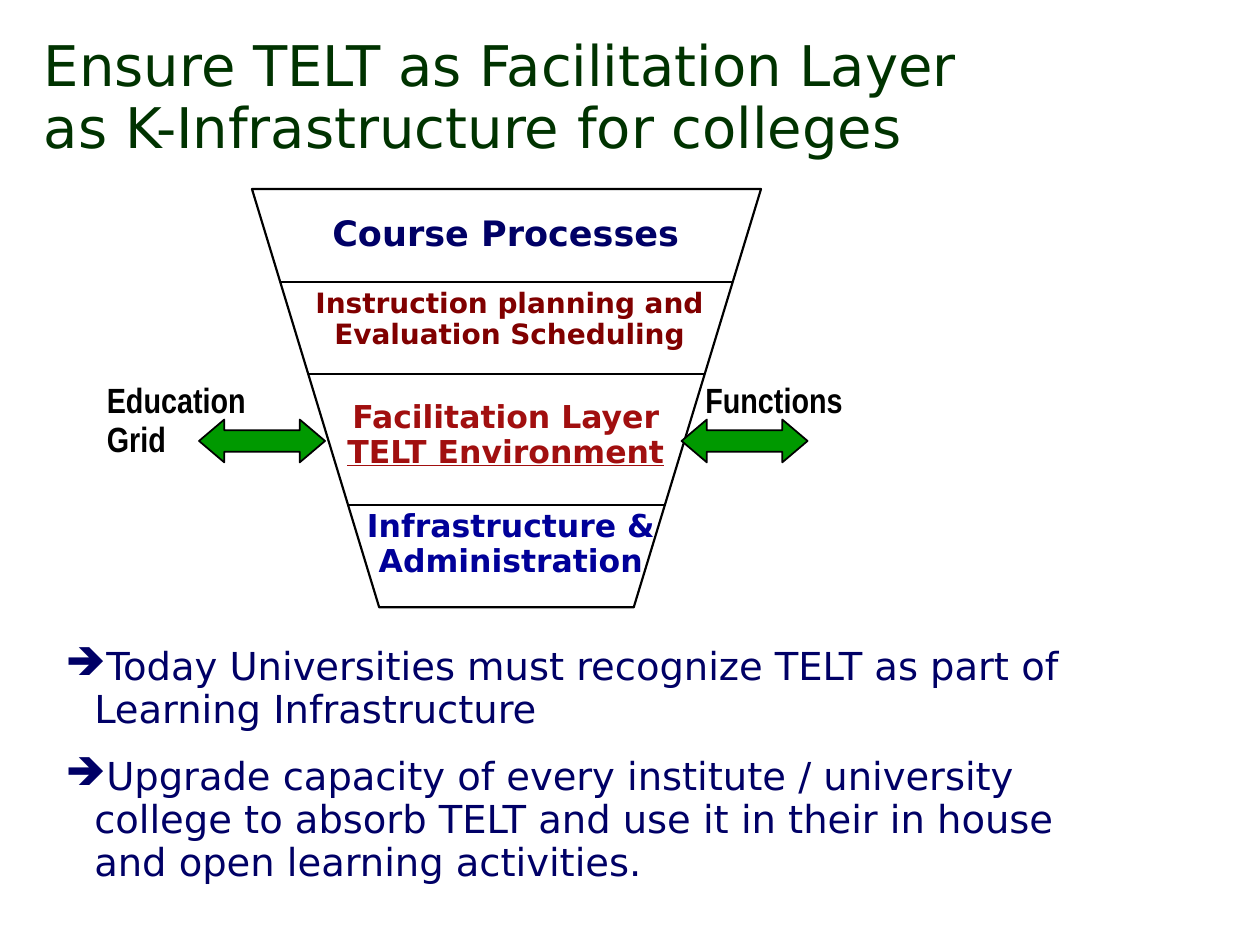
from lxml import etree
from pptx import Presentation
from pptx.dml.color import RGBColor
from pptx.enum import shapes, text
from pptx.oxml.ns import qn
from pptx.util import Inches, Pt


def color(value):
    """Turn a hex string into a colour."""
    return RGBColor.from_string(value)


class SlideBuilder:
    """Holds the style and the current slide."""

    font = "DejaVu Sans"
    ink = "000000"
    navy = "000066"

    def __init__(self, slide):
        self.slide = slide

    def paint(self, shape, fill, width):
        """Give a shape its fill and outline."""
        shape.shadow.inherit = False
        shape.fill.solid()
        shape.fill.fore_color.rgb = color(fill)
        shape.line.color.rgb = color(self.ink)
        shape.line.width = Pt(width)

    def polygon(self, points, fill):
        """Draw a closed outline through points."""
        corners = [(Inches(x), Inches(y)) for x, y in points]
        builder = self.slide.shapes.build_freeform(*corners[0])
        builder.add_line_segments(corners[1:], close=True)
        self.paint(builder.convert_to_shape(), fill, 1.25)

    def line(self, left, right, y):
        """Draw a horizontal line."""
        connector = self.slide.shapes.add_connector(
            shapes.MSO_CONNECTOR.STRAIGHT,
            Inches(left), Inches(y), Inches(right), Inches(y))
        connector.line.color.rgb = color(self.ink)
        connector.line.width = Pt(1.25)
        etree.SubElement(connector._element.spPr, qn("a:effectLst"))

    def double_arrow(self, left, top, width, height):
        """Draw a green two-headed arrow."""
        arrow = self.slide.shapes.add_shape(
            shapes.MSO_SHAPE.LEFT_RIGHT_ARROW,
            Inches(left), Inches(top), Inches(width), Inches(height))
        arrow.adjustments[0] = 0.5
        arrow.adjustments[1] = 0.59
        self.paint(arrow, "009900", 1)

    def text(self, box, paragraphs, size, fill, bold=False, font=None,
             align=text.PP_ALIGN.LEFT, anchor=text.MSO_ANCHOR.TOP,
             spacing=0.93):
        """Add a text box; each paragraph is a list of (words, underline)."""
        shape = self.slide.shapes.add_textbox(*map(Inches, box))
        frame = shape.text_frame
        frame.word_wrap = True
        frame.vertical_anchor = anchor
        for index, runs in enumerate(paragraphs):
            paragraph = frame.paragraphs[0] if index == 0 else frame.add_paragraph()
            paragraph.alignment = align
            paragraph.line_spacing = spacing
            paragraph.font.size = Pt(size)
            paragraph.font.bold = bold
            paragraph.font.name = font or self.font
            paragraph.font.color.rgb = color(fill)
            for words, underline in runs:
                run = paragraph.add_run()
                run.text = words
                if underline:
                    run.font.underline = True
        return frame

    def bullets(self, box, items, size):
        """Add a list with arrow bullets."""
        frame = self.text(box, [[(item, False)] for item in items], size, self.navy)
        for paragraph in frame.paragraphs:
            paragraph.space_before = Pt(13.8)
            properties = paragraph._p.get_or_add_pPr()
            properties.set("marL", str(Inches(0.23)))
            properties.set("indent", str(-Inches(0.23)))
            bullet = etree.Element(qn("a:buChar"), char="\u2794")
            properties.find(qn("a:defRPr")).addprevious(bullet)


presentation = Presentation()
presentation.slide_width = Inches(10)
presentation.slide_height = Inches(7.5)
page = SlideBuilder(presentation.slides.add_slide(presentation.slide_layouts[6]))

page.text((0.25, 0.24, 9.08, 1.09),
          [[("Ensure TELT as Facilitation Layer", False)],
           [("as K-Infrastructure for colleges", False)]],
          32, "003300", anchor=text.MSO_ANCHOR.BOTTOM)

# Funnel: the dividers end on its sloping sides
LEFT, RIGHT, TOP, BOTTOM, INSET = 2, 6.04, 1.5, 4.82, 1.01
page.polygon([(LEFT, TOP), (RIGHT, TOP),
              (RIGHT - INSET, BOTTOM), (LEFT + INSET, BOTTOM)], "FFFFFF")
for y in (2.24, 2.97, 4.01):
    shift = INSET * (y - TOP) / (BOTTOM - TOP)
    page.line(LEFT + shift, RIGHT - shift, y)

for arrow_left in (5.41, 1.58):
    page.double_arrow(arrow_left, 3.33, 1, 0.34)
for label, left, width in (("Education Grid", 0.75, 1.83), ("Functions", 5.5, 1.33)):
    page.text((left, 2.98, width, 0.42), [[(label, False)]], 20, page.ink,
              bold=True, font="Arial Narrow", spacing=0.94)

layers = (
    ((2.72, 3.99, 2.67, 0.66), [("Infrastructure & Administration", False)],
     18, "000099"),
    ((2.6, 3.13, 2.83, 0.66),
     [("Facilitation Layer ", False), ("TELT Environment", True)], 18, "A10F0F"),
    ((2.38, 2.24, 3.33, 0.6),
     [("Instruction planning and Evaluation Scheduling", False)], 16, "800000"),
    ((2.35, 1.66, 3.33, 0.41), [("Course Processes", False)], 20, page.navy),
)
for box, runs, size, fill in layers:
    page.text(box, [runs], size, fill, bold=True, align=text.PP_ALIGN.CENTER)

page.bullets((0.42, 5.08, 8.25, 1.99), (
    "Today Universities must recognize TELT as part of Learning Infrastructure",
    "Upgrade capacity of every institute / university college to absorb TELT "
    "and use it in their in house and open learning activities.",
), 22)

presentation.save("out.pptx")
